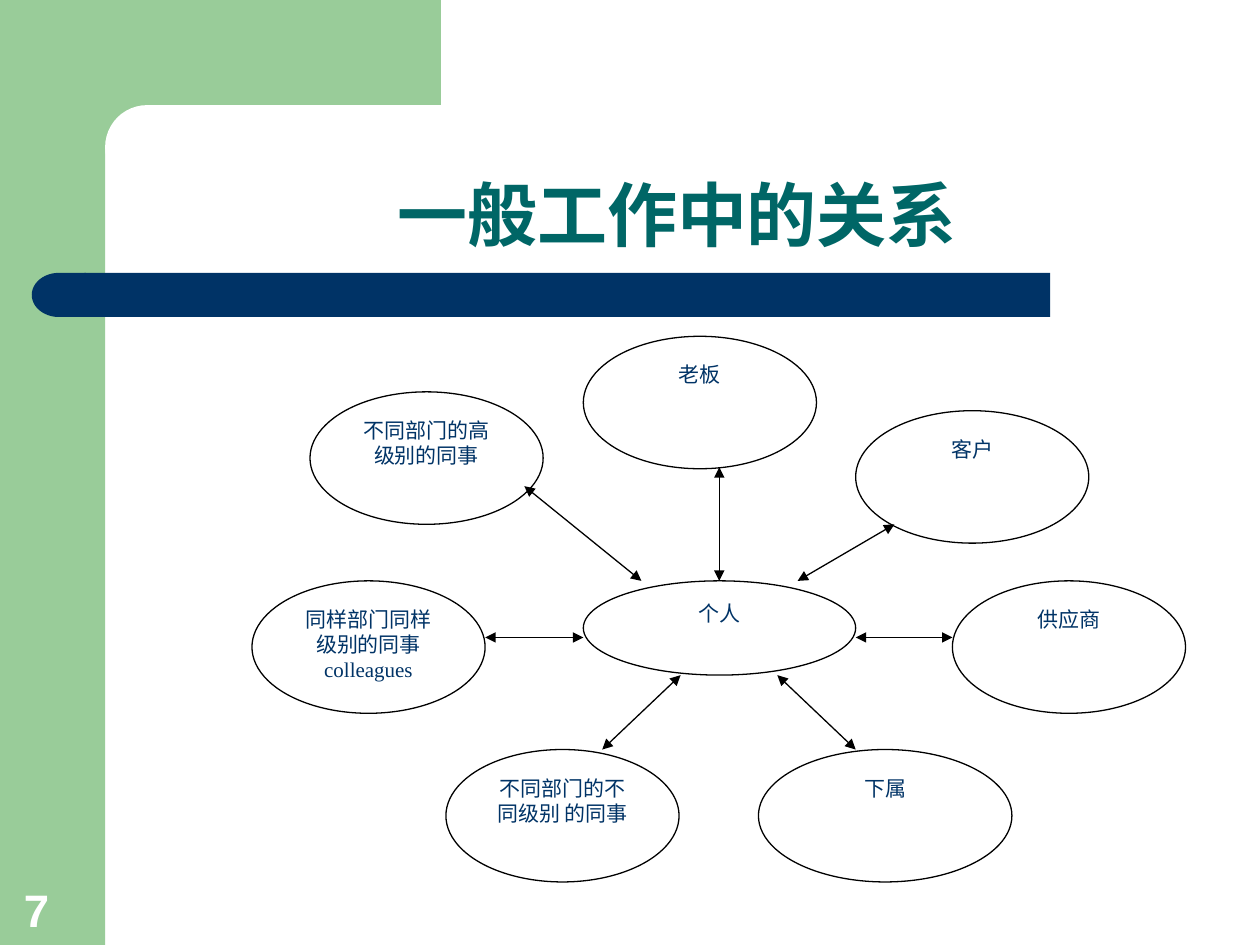
from pptx import Presentation
from pptx.dml.color import RGBColor
from pptx.enum.shapes import MSO_CONNECTOR, MSO_SHAPE
from pptx.enum.text import MSO_ANCHOR, PP_ALIGN
from pptx.oxml.ns import qn
from pptx.util import Cm, Pt
from lxml import etree

GREEN = RGBColor(0x99, 0xCC, 0x99)
TEAL = RGBColor(0x00, 0x66, 0x66)
NAVY = RGBColor(0x00, 0x33, 0x66)
WHITE = RGBColor(0xFF, 0xFF, 0xFF)
BLACK = RGBColor(0x00, 0x00, 0x00)


def add_shape(kind, box, fill):
    sp = s.shapes.add_shape(kind, *[Cm(v) for v in box])
    sp.shadow.inherit = False
    sp.fill.solid()
    sp.fill.fore_color.rgb = fill
    sp.line.fill.background()
    return sp


def set_text(sp, text, size, color, font, align, anchor, bold=False):
    tf = sp.text_frame
    tf.word_wrap = True
    tf.vertical_anchor = anchor
    p = tf.paragraphs[0]
    p.text = text
    p.alignment = align
    p.font.size = Pt(size)
    p.font.bold = bold
    p.font.name = font
    p.font.color.rgb = color
    return p


prs = Presentation()
prs.slide_width, prs.slide_height = Cm(25.4), Cm(19.05)
s = prs.slides.add_slide(prs.slide_layouts[6])

add_shape(MSO_SHAPE.RECTANGLE, (0, 0, 2.12, 19.05), GREEN)
add_shape(MSO_SHAPE.RECTANGLE, (1.9, 0, 6.99, 2.96), GREEN)
corner = add_shape(MSO_SHAPE.ROUNDED_RECTANGLE, (2.12, 2.12, 14.17, 1.69), WHITE)
corner.adjustments[0] = 0.5
add_shape(MSO_SHAPE.RECTANGLE, (1.7, 5.5, 19.47, 0.89), NAVY)
bar_end = add_shape(MSO_SHAPE.FLOWCHART_DELAY, (0.64, 5.5, 1.09, 0.89), NAVY)
bar_end.rotation = 180

title = s.shapes.add_textbox(Cm(2.54), Cm(2.12), Cm(22.22), Cm(3.17))
p = set_text(title, "一般工作中的关系", 40, TEAL, "Arial",
             PP_ALIGN.CENTER, MSO_ANCHOR.BOTTOM, True)
p.line_spacing = 0.9

W, H = 4.7, 2.67
people = [
    ("个人", 11.76, 11.71, 5.49, 1.9, "Arial"),
    ("供应商", 19.2, 11.71, W, H, "Times New Roman"),
    ("下属", 15.29, 15.11, 5.11, H, "Times New Roman"),
    ("不同部门的不同级别 的同事", 8.99, 15.11, W, H, "Times New Roman"),
    ("同样部门同样级别的同事 colleagues", 5.08, 11.71, W, H, "Times New Roman"),
    ("客户", 17.25, 8.28, W, H, "Times New Roman"),
    ("不同部门的高级别的同事", 6.25, 7.9, W, H, "Times New Roman"),
    ("老板", 11.76, 6.78, W, H, "Times New Roman"),
]
for text, x, y, w, h, font in people:
    sp = add_shape(MSO_SHAPE.OVAL, (x, y, w, h), WHITE)
    sp.line.color.rgb = BLACK
    sp.line.width = Pt(0.74)
    set_text(sp, text, 12, NAVY, font, PP_ALIGN.CENTER, MSO_ANCHOR.TOP)

arrows = [
    (9.78, 12.85, 11.76, 12.85),
    (10.57, 9.8, 12.93, 11.71),
    (14.5, 9.42, 14.5, 11.71),
    (18.03, 10.57, 16.08, 11.71),
    (17.25, 12.85, 19.2, 12.85),
    (15.67, 13.61, 17.25, 15.11),
    (13.72, 13.61, 12.14, 15.11),
]
for ends in arrows:
    arrow = s.shapes.add_connector(MSO_CONNECTOR.STRAIGHT, *[Cm(v) for v in ends])
    arrow.line.color.rgb = BLACK
    arrow.line.width = Pt(0.74)
    ln = arrow.line._get_or_add_ln()
    for tag in ("a:headEnd", "a:tailEnd"):
        etree.SubElement(ln, qn(tag), type="triangle")
    etree.SubElement(arrow._element.spPr, qn("a:effectLst"))

number = s.shapes.add_textbox(Cm(0.23), Cm(17.63), Cm(1.63), Cm(1.37))
set_text(number, "7", 26, WHITE, "Arial", PP_ALIGN.LEFT, MSO_ANCHOR.BOTTOM, True)

prs.save("out.pptx")
